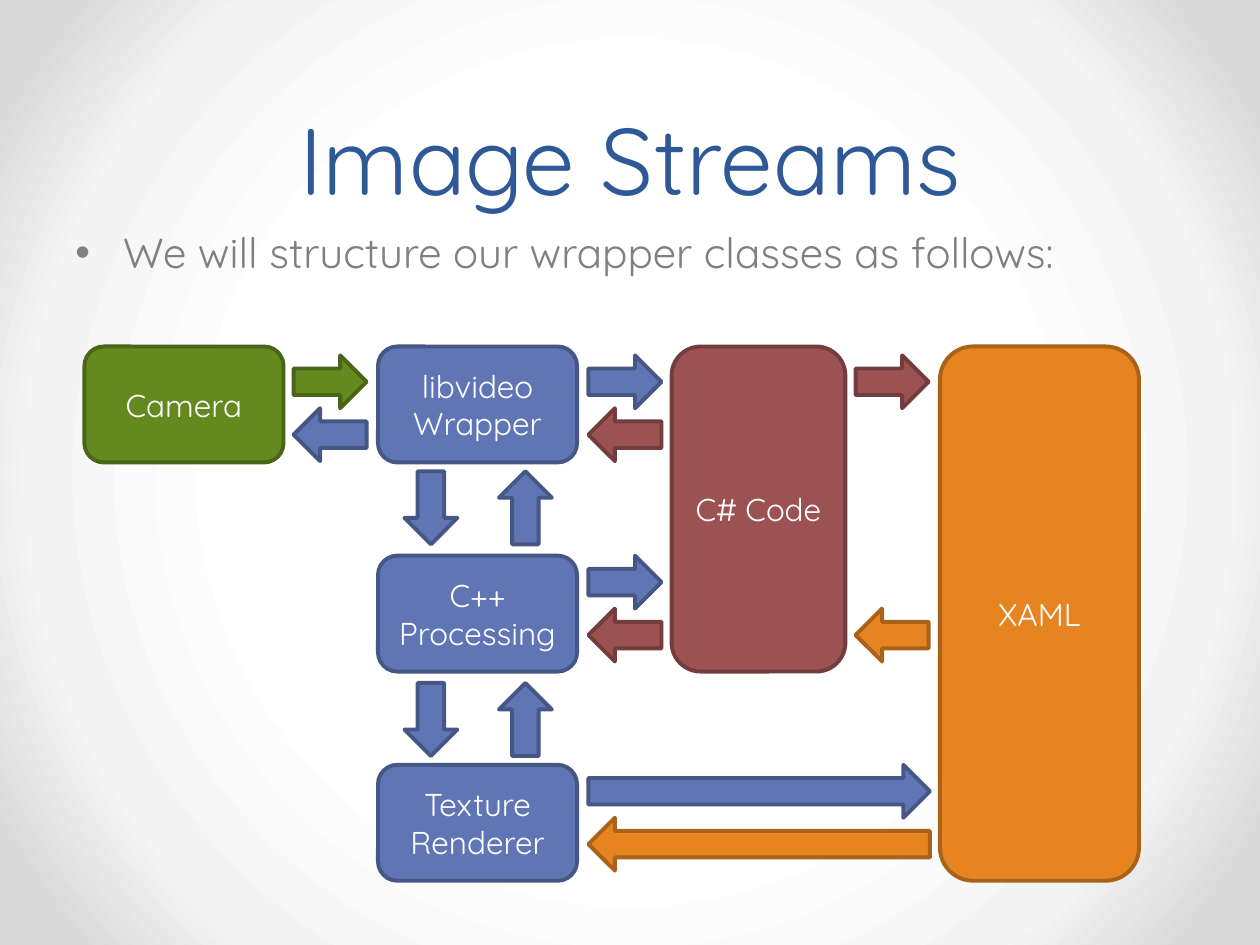
"""Build the Image Streams slide: wrapper classes and the arrows between them."""
import pptx
import pptx.util
import pptx.dml.color
import pptx.enum.shapes
import pptx.enum.text
import pptx.oxml
import pptx.oxml.ns

Inches = pptx.util.Inches
FONT = "Quicksand"
COLORS = {
    "title": "2F5897",
    "body": "808080",
    "white": "FFFFFF",
    "green": "63891F",
    "green line": "496517",
    "blue": "6076B4",
    "blue line": "475785",
    "red": "9C5252",
    "red line": "733D3D",
    "orange": "E68422",
    "orange line": "AA6219",
}
BACKGROUND_STOPS = [(50, "FFFFFF"), (76, "F4F4F4"), (92, "DADADA")]


def format_text(text_frame, size, color, alignment):
    for paragraph in text_frame.paragraphs:
        paragraph.alignment = alignment
        for run in paragraph.runs:
            run.font.name = FONT
            run.font.size = pptx.util.Pt(size)
            run.font.color.rgb = pptx.dml.color.RGBColor.from_string(COLORS[color])


def add_block(kind, left, top, width, height, color):
    shape = slide.shapes.add_shape(
        kind, Inches(left), Inches(top), Inches(width), Inches(height)
    )
    shape.shadow.inherit = False
    shape.fill.solid()
    shape.fill.fore_color.rgb = pptx.dml.color.RGBColor.from_string(COLORS[color])
    shape.line.color.rgb = pptx.dml.color.RGBColor.from_string(COLORS[color + " line"])
    shape.line.width = pptx.util.Pt(2.25)
    return shape


presentation = pptx.Presentation()
presentation.slide_width = Inches(10)
presentation.slide_height = Inches(7.5)
slide = presentation.slides.add_slide(presentation.slide_layouts[5])

slide.background.fill.solid()
background = slide.element.find(".//" + pptx.oxml.ns.qn("p:bgPr"))
stops = "".join(
    f'<a:gs pos="{position * 1000}"><a:srgbClr val="{color}"/></a:gs>'
    for position, color in BACKGROUND_STOPS
)
gradient = pptx.oxml.parse_xml(
    f'<a:gradFill {pptx.oxml.ns.nsdecls("a")} rotWithShape="1"><a:gsLst>{stops}</a:gsLst>'
    '<a:path path="circle"><a:fillToRect l="50000" t="50000" r="50000" b="50000"/>'
    "</a:path></a:gradFill>"
)
background.replace(background[0], gradient)

CENTER = pptx.enum.text.PP_ALIGN.CENTER
title = slide.shapes.title
title.left, title.top, title.width, title.height = (
    Inches(0), Inches(0), Inches(9), Inches(1.75)
)
title.left = Inches(0.5)
title.text_frame.text = "Image Streams"
title.text_frame.auto_size = pptx.enum.text.MSO_AUTO_SIZE.NONE
title.text_frame.vertical_anchor = pptx.enum.text.MSO_ANCHOR.BOTTOM
title.text_frame.paragraphs[0].line_spacing = pptx.util.Pt(58)
format_text(title.text_frame, 54, "title", CENTER)

body = slide.shapes.add_textbox(Inches(0.5), Inches(1.75), Inches(9), Inches(4.95))
body.text_frame.word_wrap = True
body.text_frame.text = "We will structure our wrapper classes as follows:"
format_text(body.text_frame, 24, "body", pptx.enum.text.PP_ALIGN.LEFT)
properties = body.text_frame.paragraphs[0]._p.get_or_add_pPr()
properties.set("marL", str(Inches(0.38)))
properties.set("indent", str(-Inches(0.38)))
for bullet in (
    '<a:spcBef {}><a:spcPct val="20000"/></a:spcBef>',
    '<a:buFont {} typeface="Arial"/>',
    '<a:buChar {} char="•"/>',
):
    properties.append(pptx.oxml.parse_xml(bullet.format(pptx.oxml.ns.nsdecls("a"))))

ROWS = [2.75, 4.41, 6.07]
BOX_WIDTH, BOX_HEIGHT = 1.58, 0.92
WRAPPER_LEFT = 3
boxes = [
    ("Camera", 0.67, 0, 0, BOX_WIDTH, "green"),
    ("libvideo Wrapper", WRAPPER_LEFT, 0, 0, BOX_WIDTH, "blue"),
    ("C# Code", 5.33, 0, 1, 1.38, "red"),
    ("XAML", 7.46, 0, 2, BOX_WIDTH, "orange"),
    ("C++ Processing", WRAPPER_LEFT, 1, 1, BOX_WIDTH, "blue"),
    ("Texture\nRenderer", WRAPPER_LEFT, 2, 2, BOX_WIDTH, "blue"),
]
for text, left, first_row, last_row, width, color in boxes:
    height = ROWS[last_row] - ROWS[first_row] + BOX_HEIGHT
    box = add_block(
        pptx.enum.shapes.MSO_SHAPE.ROUNDED_RECTANGLE,
        left, ROWS[first_row], width, height, color,
    )
    box.text_frame.text = text
    box.text_frame.word_wrap = True
    box.text_frame.vertical_anchor = pptx.enum.text.MSO_ANCHOR.MIDDLE
    format_text(box.text_frame, 18, "white", CENTER)

ARROW_LENGTH, ARROW_HEIGHT = 0.58, 0.42
LONG_ARROW = 2.71
CAMERA_GAP, WRAPPER_GAP, XAML_GAP = 2.33, 4.67, 6.79
arrows = [
    (CAMERA_GAP, 2.82, ARROW_LENGTH, 0, "green"),
    (WRAPPER_GAP, 2.82, ARROW_LENGTH, 0, "blue"),
    (XAML_GAP, 2.82, ARROW_LENGTH, 0, "red"),
    (WRAPPER_GAP, 4.41, ARROW_LENGTH, 0, "blue"),
    (WRAPPER_GAP, 6.07, LONG_ARROW, 0, "blue"),
    (XAML_GAP, 4.83, ARROW_LENGTH, 180, "orange"),
    (WRAPPER_GAP, 4.83, ARROW_LENGTH, 180, "red"),
    (WRAPPER_GAP, 3.24, ARROW_LENGTH, 180, "red"),
    (CAMERA_GAP, 3.24, ARROW_LENGTH, 180, "blue"),
    (WRAPPER_GAP, 6.49, LONG_ARROW, 180, "orange"),
]
for left, rotation in ((3.88, 270), (3.13, 90)):
    for top in (3.82, 5.5):
        arrows.append((left, top, ARROW_LENGTH, rotation, "blue"))
for left, top, length, rotation, color in arrows:
    arrow = add_block(
        pptx.enum.shapes.MSO_SHAPE.RIGHT_ARROW, left, top, length, ARROW_HEIGHT, color
    )
    arrow.rotation = rotation

presentation.save("out.pptx")
